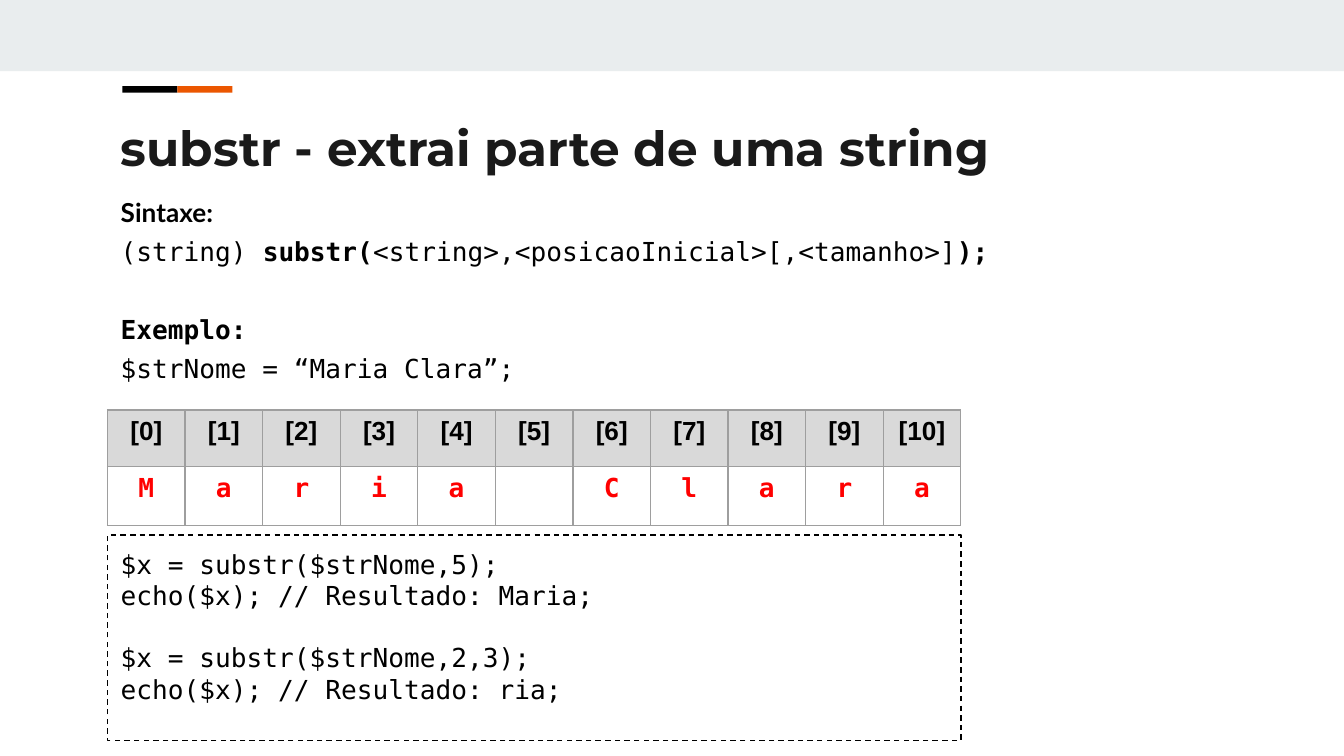
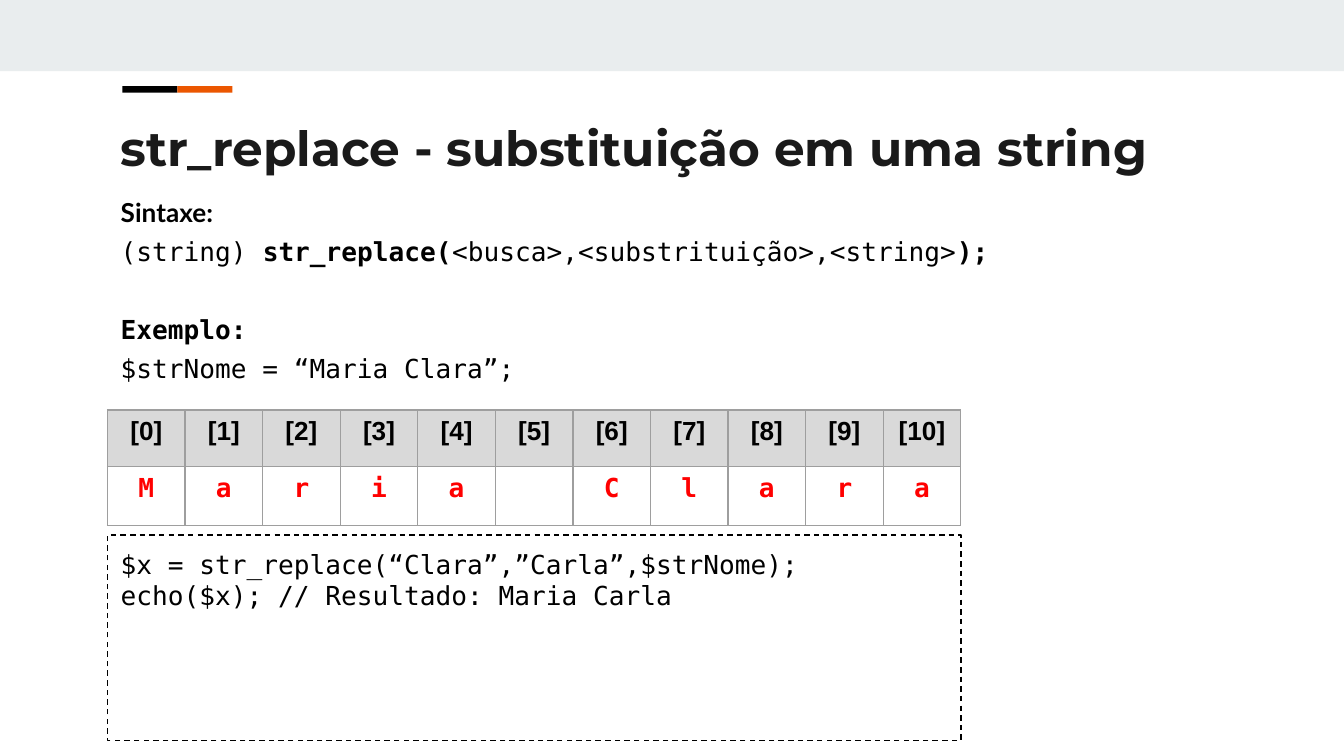
from lxml.etree import SubElement
from pptx import Presentation
from pptx.dml.color import RGBColor
from pptx.enum.dml import MSO_LINE
from pptx.enum.shapes import MSO_SHAPE
from pptx.enum.text import MSO_ANCHOR, PP_ALIGN
from pptx.oxml.ns import qn
from pptx.util import Inches, Pt

BLACK, ORANGE, BAND, TITLE = "000000", "EB5600", "E9EDEE", "1A1A1A"
HEADER, BORDER, RED = "D9D9D9", "9E9E9E", "FF0000"
MONO = "DejaVu Sans Mono"
SLIDE_WIDTH = 10
SLIDE_HEIGHT = SLIDE_WIDTH * 9 / 16
LEFT, TEXT_WIDTH, BLOCK_WIDTH = 0.8, 8.41, 6.35
ROW_HEIGHTS = (0.42, 0.44)
LINE_GAP, BODY_SKIP, CODE_SKIP = 4, 25, 16.5

NAME = "Maria Clara"
FUNCTIONS = [
    {
        "title": "substr - extrai parte de uma string",
        "call": "substr(",
        "arguments": "<string>,<posicaoInicial>[,<tamanho>]",
        "code": [
            ("$x = substr($strNome,5);", "echo($x); // Resultado: Maria;"),
            ("$x = substr($strNome,2,3);", "echo($x); // Resultado: ria;"),
        ],
    },
    {
        "title": "str_replace - substituição em uma string",
        "call": "str_replace(",
        "arguments": "<busca>,<substrituição>,<string>",
        "code": [
            ("$x = str_replace(“Clara”,”Carla”,$strNome);",
             "echo($x); // Resultado: Maria Carla"),
        ],
    },
]


def rgb(value):
    return RGBColor.from_string(value)


def write(paragraph, text, font=MONO, size=14, color=BLACK, bold=False,
          align=PP_ALIGN.LEFT, before=0, after=0):
    paragraph.alignment = align
    paragraph.space_before, paragraph.space_after = Pt(before), Pt(after)
    run = paragraph.add_run()
    run.text = text
    run.font.name, run.font.size, run.font.bold = font, Pt(size), bold
    run.font.color.rgb = rgb(color)


def prepare(frame):
    frame.word_wrap = True
    frame.vertical_anchor = MSO_ANCHOR.TOP
    frame.margin_left = frame.margin_right = Inches(0.1)
    frame.margin_top = frame.margin_bottom = Inches(0.1)
    return frame


def add_text_area(slide, top, height):
    area = slide.shapes.add_textbox(
        Inches(LEFT), Inches(top), Inches(TEXT_WIDTH), Inches(height))
    return prepare(area.text_frame)


def add_rectangle(slide, left, top, width, height, fill=None):
    rectangle = slide.shapes.add_shape(
        MSO_SHAPE.RECTANGLE, Inches(left), Inches(top), Inches(width), Inches(height))
    rectangle.shadow.inherit = False
    if fill:
        rectangle.fill.solid()
        rectangle.fill.fore_color.rgb = rgb(fill)
        rectangle.line.fill.background()
    else:
        rectangle.fill.background()
    return rectangle


def add_frame(slide, title):
    add_rectangle(slide, 0, 0, SLIDE_WIDTH, 0.53, BAND)
    for position, color in enumerate((BLACK, ORANGE)):
        add_rectangle(slide, 0.91 + position * 0.41, 0.64, 0.41, 0.05, color)
    heading = add_text_area(slide, 0.78, 0.59)
    write(heading.paragraphs[0], title, font="Montserrat", size=26, color=TITLE, bold=True)


def add_syntax(slide, call, arguments):
    body = add_text_area(slide, 1.36, 1.53)
    write(body.paragraphs[0], "Sintaxe:", font="Lato", bold=True)
    signature = body.add_paragraph()
    for text, bold in (("(string) ", False), (call, True), (arguments, False), (");", True)):
        write(signature, text, bold=bold, before=LINE_GAP)
    write(body.add_paragraph(), "Exemplo:", bold=True, before=BODY_SKIP)
    write(body.add_paragraph(), f"$strNome = “{NAME}”;", before=LINE_GAP, after=LINE_GAP)


def draw_borders(cell):
    properties = cell._tc.get_or_add_tcPr()
    for position, side in enumerate(("lnL", "lnR", "lnT", "lnB")):
        border = SubElement(properties, qn(f"a:{side}"), w=str(Pt(0.74)))
        fill = SubElement(border, qn("a:solidFill"))
        SubElement(fill, qn("a:srgbClr"), val=BORDER)
        properties.insert(position, border)


def add_letters(slide):
    table = slide.shapes.add_table(
        2, len(NAME), Inches(LEFT), Inches(3.05),
        Inches(BLOCK_WIDTH), Inches(sum(ROW_HEIGHTS))).table
    table.first_row = table.horz_banding = False
    for row, height in zip(table.rows, ROW_HEIGHTS):
        row.height = Inches(height)
    for index, letter in enumerate(NAME):
        table.columns[index].width = Inches(BLOCK_WIDTH / len(NAME))
        position, character = table.cell(0, index), table.cell(1, index)
        position.fill.solid()
        position.fill.fore_color.rgb = rgb(HEADER)
        character.fill.background()
        write(position.text_frame.paragraphs[0], f"[{index}]",
              font="Arial", bold=True, align=PP_ALIGN.CENTER)
        if letter.strip():
            write(character.text_frame.paragraphs[0], letter,
                  color=RED, bold=True, align=PP_ALIGN.CENTER)
        for cell in (position, character):
            draw_borders(cell)


def add_code(slide, examples):
    box = add_rectangle(slide, LEFT, 3.98, BLOCK_WIDTH, 1.53)
    box.line.color.rgb = rgb(BLACK)
    box.line.width = Pt(0.74)
    box.line.dash_style = MSO_LINE.DASH
    frame = prepare(box.text_frame)
    paragraph = frame.paragraphs[0]
    for number, example in enumerate(examples):
        for order, line in enumerate(example):
            if number or order:
                paragraph = frame.add_paragraph()
            write(paragraph, line, before=CODE_SKIP if number and not order else 0)


presentation = Presentation()
presentation.slide_width = Inches(SLIDE_WIDTH)
presentation.slide_height = Inches(SLIDE_HEIGHT)
for function in FUNCTIONS:
    slide = presentation.slides.add_slide(presentation.slide_layouts[6])
    add_frame(slide, function["title"])
    add_syntax(slide, function["call"], function["arguments"])
    add_letters(slide)
    add_code(slide, function["code"])
presentation.save("out.pptx")
